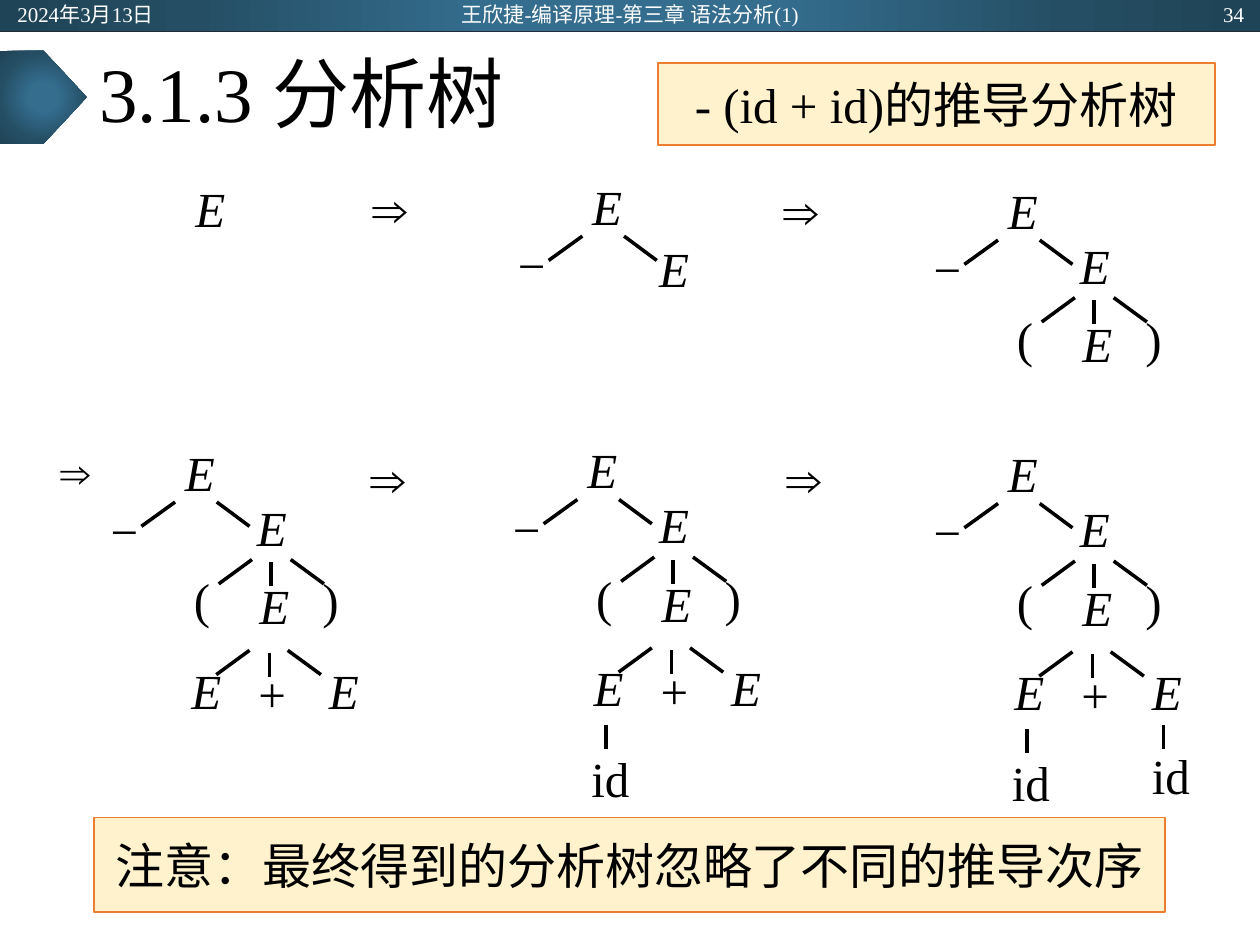
"""Build the parse tree slide deriving - (id + id) step by step."""
from pptx import Presentation
from pptx.dml.color import RGBColor
from pptx.enum.shapes import MSO_CONNECTOR, MSO_SHAPE
from pptx.enum.text import MSO_ANCHOR, PP_ALIGN
from pptx.oxml import parse_xml
from pptx.oxml.ns import nsdecls
from pptx.util import Cm, Pt

BLACK = RGBColor(0x00, 0x00, 0x00)
WHITE = RGBColor(0xFF, 0xFF, 0xFF)
CREAM = RGBColor(0xFF, 0xF2, 0xCC)
ORANGE = RGBColor(0xED, 0x7D, 0x31)
NAVY = RGBColor(0x22, 0x2A, 0x35)
BLUE = RGBColor(0x34, 0x6D, 0x8E)
TEAL = RGBColor(0x25, 0x4E, 0x64)
DEEP = RGBColor(0x20, 0x44, 0x57)

RECT, PENTAGON = MSO_SHAPE.RECTANGLE, MSO_SHAPE.PENTAGON
STRAIGHT = MSO_CONNECTOR.STRAIGHT
TOP, MIDDLE = MSO_ANCHOR.TOP, MSO_ANCHOR.MIDDLE
LEFT, CENTER, RIGHT, JUSTIFY = PP_ALIGN.LEFT, PP_ALIGN.CENTER, PP_ALIGN.RIGHT, PP_ALIGN.JUSTIFY


def write(sp, text, size, color=BLACK, align=JUSTIFY, anchor=TOP, inset=(0.05, 0.03), wrap=True):
    tf = sp.text_frame
    tf.word_wrap = wrap
    tf.vertical_anchor = anchor
    tf.margin_left = tf.margin_right = Cm(inset[0])
    tf.margin_top = tf.margin_bottom = Cm(inset[1])
    p = tf.paragraphs[0]
    p.text = text
    p.alignment = align
    font = p.runs[0].font
    font.name = "Times New Roman"
    font.size = Pt(size)
    font.color.rgb = color
    font.italic = text == "E"
    return p


def draw_line(s, x1, y1, x2, y2, color=BLACK, width=2):
    line = s.shapes.add_connector(STRAIGHT, Cm(x1), Cm(y1), Cm(x2), Cm(y2))
    line.line.color.rgb = color
    line.line.width = Pt(width)
    line._element.spPr.append(parse_xml(f"<a:effectLst {nsdecls('a')}/>"))


prs = Presentation()
prs.slide_width, prs.slide_height = Cm(25.4), Cm(19.05)
s = prs.slides.add_slide(prs.slide_layouts[6])

stops = "".join(
    f'<a:gs pos="{pos * 1000}"><a:srgbClr val="{color}"/></a:gs>'
    for pos, color in [(0, BLUE), (23, BLUE), (69, TEAL), (97, DEEP)]
)
for kind, y, w, h in [(RECT, 0, 25.4, 0.64), (PENTAGON, 1.02, 1.75, 1.88)]:
    sp = s.shapes.add_shape(kind, 0, Cm(y), Cm(w), Cm(h))
    sp.shadow.inherit = False
    sp.line.fill.background()
    sp._element.spPr.insert(2, parse_xml(
        f'<a:gradFill {nsdecls("a")} rotWithShape="1"><a:gsLst>{stops}</a:gsLst>'
        '<a:path path="circle"><a:fillToRect l="50000" t="50000" r="50000" b="50000"/>'
        '</a:path></a:gradFill>'
    ))
draw_line(s, 0, 0.64, 25.4, 0.64, NAVY, 0.5)

title = s.shapes.add_textbox(Cm(1.75), Cm(0.64), Cm(21.9), Cm(2.64))
p = write(title, "3.1.3 分析树", 44, align=LEFT, anchor=MIDDLE, inset=(0.25, 0.13))
p.line_spacing = 0.9

levels = [
    ([("−", -1.5, 1.17), ("E", 1.45, 1.1)],
     [(-0.15, 1.23, -0.83, 1.72), (0.69, 1.23, 1.35, 1.72)]),
    ([("(", 0.18, 2.57), ("E", 1.5, 2.69), (")", 2.77, 2.57)],
     [(1.4, 2.39, 0.73, 2.88), (1.78, 2.44, 1.78, 2.93), (2.18, 2.39, 2.85, 2.88)]),
    ([("E", 0.13, 4.39), ("+", 1.48, 4.45), ("E", 2.9, 4.39)],
     [(1.35, 4.22, 0.68, 4.71), (1.75, 4.27, 1.75, 4.75), (2.12, 4.22, 2.79, 4.71)]),
    ([("id", 0.08, 6.22)], [(0.43, 5.77, 0.43, 6.26)]),
    ([("id", 2.9, 6.07)], [(3.18, 5.69, 3.18, 6.18)]),
]
first_step = [([("−", -1.5, 1.17), ("E", 1.35, 1.24)], levels[0][1])]
trees = [
    (3.89, 3.56, []),
    (11.89, 3.53, first_step),
    (20.27, 3.61, levels[:2]),
    (3.68, 8.89, levels[:3]),
    (11.79, 8.84, levels[:4]),
    (20.27, 8.92, levels),
]
symbols = [
    ("⇒", 7.47, 3.56, 28), ("⇒", 15.75, 3.61, 28),
    ("⇒", 1.17, 8.97, 24), ("⇒", 7.42, 9.02, 28), ("⇒", 15.8, 9.02, 28),
]
for x, y, steps in trees:
    symbols.append(("E", x, y, 28))
    for nodes, branches in steps:
        symbols += [(text, x + dx, y + dy, 28) for text, dx, dy in nodes]
        for x1, y1, x2, y2 in branches:
            draw_line(s, x + x1, y + y1, x + x2, y + y2)
for text, x, y, size in symbols:
    write(s.shapes.add_textbox(Cm(x), Cm(y), Cm(1.02), Cm(1.35)), text, size)

for text, x, y, w, h in [
    ("- (id + id)的推导分析树", 13.26, 1.27, 11.23, 1.65),
    ("注意：最终得到的分析树忽略了不同的推导次序", 1.9, 16.48, 21.59, 1.91),
]:
    sp = s.shapes.add_shape(RECT, Cm(x), Cm(y), Cm(w), Cm(h))
    sp.shadow.inherit = False
    sp.fill.solid()
    sp.fill.fore_color.rgb = CREAM
    sp.line.color.rgb = ORANGE
    sp.line.width = Pt(1)
    write(sp, text, 28, align=CENTER, anchor=MIDDLE, inset=(0.15, 0.08), wrap=False)

for text, x, w, align in [
    ("2024年3月13日", 0.1, 5.72, LEFT),
    ("王欣捷-编译原理-第三章 语法分析(1)", 8.41, 8.59, CENTER),
    ("34", 19.61, 5.72, RIGHT),
]:
    sp = s.shapes.add_textbox(Cm(x), Cm(0.03), Cm(w), Cm(0.51))
    write(sp, text, 12, WHITE, align, MIDDLE, (0.25, 0))

prs.save("out.pptx")
